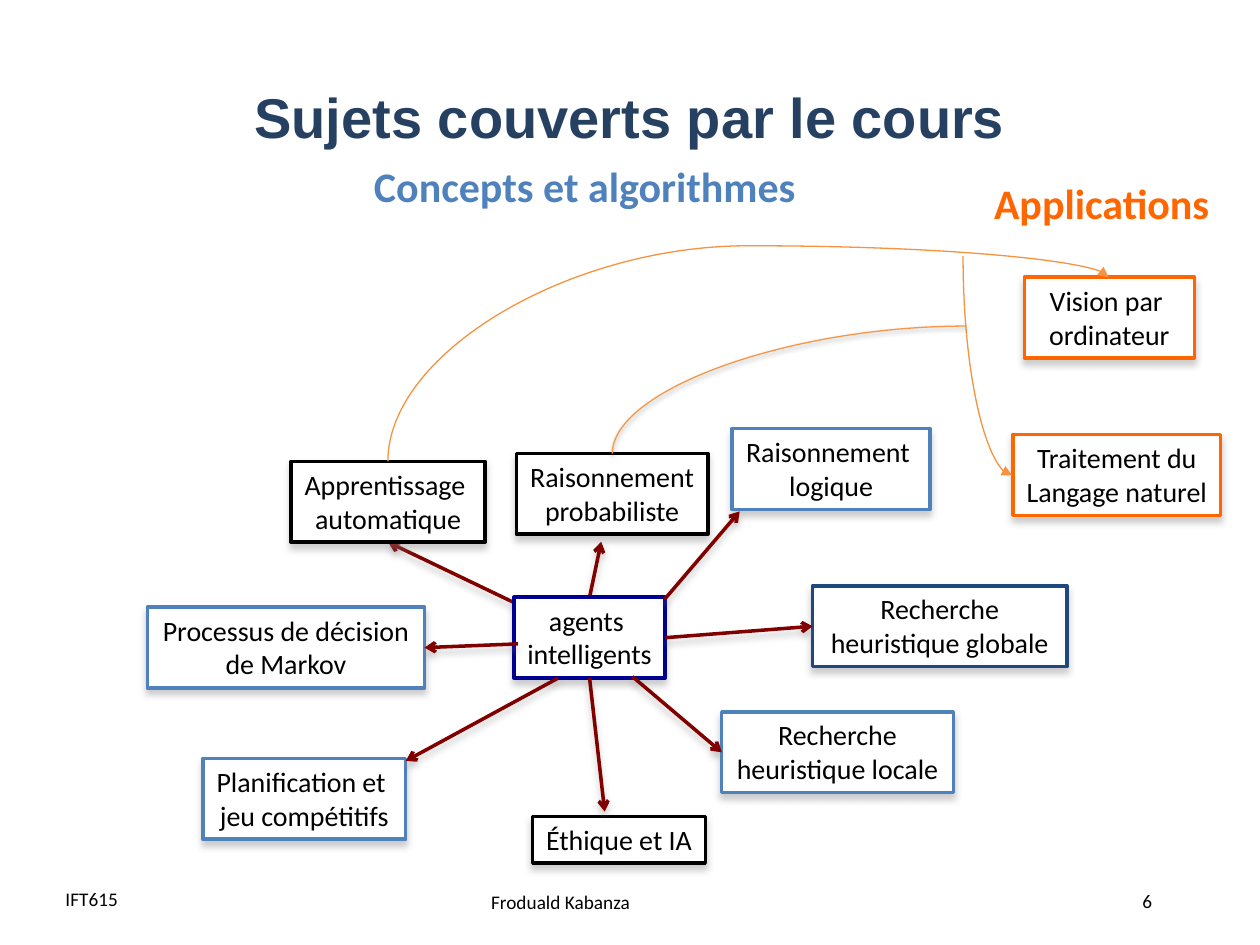
from lxml.etree import SubElement
from pptx import Presentation
from pptx.dml.color import RGBColor
from pptx.enum.shapes import MSO_CONNECTOR as Link, MSO_SHAPE as Shape
from pptx.enum.text import MSO_ANCHOR as Anchor, MSO_AUTO_SIZE as Fit, PP_ALIGN as Align
from pptx.oxml.ns import qn
from pptx.util import Cm, Pt

WHITE = RGBColor(0xFF, 0xFF, 0xFF)
BLACK = RGBColor(0, 0, 0)
NAVY = RGBColor(0x25, 0x40, 0x61)
INDIGO = RGBColor(0, 0, 0x90)
DARK = RGBColor(0x1F, 0x49, 0x7D)
BLUE = RGBColor(0x4F, 0x81, 0xBD)
ORANGE = RGBColor(0xFF, 0x66, 0x00)
AMBER = RGBColor(0xF6, 0x92, 0x40)
PEACH = RGBColor(0xF7, 0x96, 0x46)
MAROON = RGBColor(0x80, 0, 0)
GREY = RGBColor(0x80, 0x80, 0x80)

# name: left, top, width, border, wrap, lines
BOXES = {
    "agents": (10.36, 12.04, 3.05, INDIGO, False, ["agents ", "intelligents"]),
    "logic": (14.76, 8.64, 3.99, BLUE, False, ["Raisonnement ", "logique"]),
    "learning": (5.87, 9.3, 3.91, BLACK, False, ["Apprentissage ", "automatique"]),
    "markov": (2.97, 12.24, 5.59, BLUE, True, ["Processus de décision ", "de Markov"]),
    "plan": (4.09, 15.29, 4.09, BLUE, False, ["Planification et ", "jeu compétitifs"]),
    "local": (14.55, 14.35, 4.67, BLUE, True, ["Recherche heuristique locale"]),
    "global": (16.38, 11.81, 5.13, DARK, True, ["Recherche heuristique globale"]),
    "ethics": (10.74, 16.46, 3.48, BLACK, False, ["Éthique et IA"]),
    "chance": (10.41, 9.14, 3.86, BLACK, False, ["Raisonnement", "probabiliste"]),
    "vision": (20.65, 5.59, 3.43, ORANGE, True, ["Vision par ", "ordinateur"]),
    "language": (20.42, 8.76, 4.19, ORANGE, False, ["Traitement du", "Langage naturel"]),
}

# start, end, behind the boxes; an end is a point or a box name with its side
TOP, LEFT, BOTTOM, RIGHT = range(4)
ARROWS = [
    (("agents", TOP), (12.12, 10.92), True),
    ((10.41, 12.17), ("learning", BOTTOM), True),
    (("agents", RIGHT), ("global", LEFT), False),
    ((12.75, 13.64), ("local", LEFT), False),
    (("agents", BOTTOM), (12.19, 16.36), False),
    ((10.44, 12.98), ("markov", RIGHT), False),
    ((11.25, 13.67), (8.18, 15.34), False),
    ((13.39, 12.09), (14.91, 10.31), False),
]


def add_shadow(shape, color=GREY, alpha=40, blur=4, dist=3):
    """Give a downward shadow; alpha is in percent, blur and dist in points."""
    effects = SubElement(shape._element.spPr, qn("a:effectLst"))
    outer = SubElement(effects, qn("a:outerShdw"), blurRad=str(Pt(blur)),
                       dist=str(Pt(dist)), dir="5400000", rotWithShape="0")
    tint = SubElement(outer, qn("a:srgbClr"), val=str(color))
    SubElement(tint, qn("a:alpha"), val=str(alpha * 1000))


def add_run(para, text, size, color, bold=False, font="Calibri"):
    run = para.add_run()
    run.text = text
    run.font.name, run.font.size, run.font.bold = font, Pt(size), bold
    run.font.color.rgb = color


def add_label(slide, text, area, size, color, bold=False, anchor=Anchor.TOP):
    frame = slide.shapes.add_textbox(*map(Cm, area)).text_frame
    frame.word_wrap = not bold
    frame.vertical_anchor = anchor
    add_run(frame.paragraphs[0], text, size, color, bold)


def add_box(slide, left, top, width, color, wrap, lines):
    height = 0.94 if lines == ["Éthique et IA"] else 1.63
    box = slide.shapes.add_shape(Shape.RECTANGLE, *map(Cm, (left, top, width, height)))
    box.fill.solid()
    box.fill.fore_color.rgb = WHITE
    box.line.color.rgb = color
    box.line.width = Pt(2)
    add_shadow(box)
    frame = box.text_frame
    frame.word_wrap = wrap
    frame.auto_size = Fit.SHAPE_TO_FIT_TEXT
    frame.vertical_anchor = Anchor.TOP
    for i, text in enumerate(lines):
        para = frame.add_paragraph() if i else frame.paragraphs[0]
        para.alignment = Align.CENTER
        add_run(para, text, 16, BLACK)
    return box


def style_line(line, color, width, head=None):
    line.line.color.rgb = color
    line.line.width = Pt(width)
    if head:
        SubElement(line.line._get_or_add_ln(), qn("a:tailEnd"), type=head)


def get_point(boxes, end):
    """Turn a point or a box side into a position."""
    if end[0] not in boxes:
        return Cm(end[0]), Cm(end[1])
    box, side = boxes[end[0]], end[1]
    x = {LEFT: 0, RIGHT: box.width}.get(side, box.width // 2)
    y = {TOP: 0, BOTTOM: box.height}.get(side, box.height // 2)
    return box.left + x, box.top + y


def add_arrow(slide, boxes, start, end, behind):
    line = slide.shapes.add_connector(
        Link.STRAIGHT, *get_point(boxes, start), *get_point(boxes, end))
    if start[0] in boxes:
        line.begin_connect(boxes[start[0]], start[1])
    if end[0] in boxes:
        line.end_connect(boxes[end[0]], end[1])
    style_line(line, MAROON, 2, "arrow")
    add_shadow(line)
    if behind:
        boxes["agents"]._element.addprevious(line._element)


def add_curve(slide, area, turn, flips, color, head=None, bend=None):
    """Draw a turned curve: one arc, or an S curve whose middle is at bend."""
    left, top, width, height = map(Cm, area)
    line = slide.shapes.add_connector(Link.CURVE, left, top, left + width, top + height)
    props = line._element.spPr
    frame, geom = props.find(qn("a:xfrm")), props.find(qn("a:prstGeom"))
    frame.set("rot", str(turn * 60000))
    for flip in flips:
        frame.set("flip" + flip, "1")
    if bend:
        guides = geom.find(qn("a:avLst"))
        SubElement(guides, qn("a:gd"), name="adj1", fmla=f"val {bend}")
    else:
        geom.set("prst", "curvedConnector2")
    style_line(line, color, 0.75, head)
    return line


def add_title(slide, text):
    title = slide.shapes.title
    title.left, title.top, title.width, title.height = map(Cm, (1.27, 0.76, 22.86, 3.18))
    frame = title.text_frame
    frame.vertical_anchor = Anchor.MIDDLE
    frame.auto_size = Fit.NONE
    para = frame.paragraphs[0]
    para.alignment = Align.CENTER
    add_run(para, text, 32, NAVY, True, "Arial")


def main():
    deck = Presentation()
    deck.slide_width, deck.slide_height = Cm(25.4), Cm(19.05)
    slide = deck.slides.add_slide(deck.slide_layouts[5])
    add_title(slide, "Sujets couverts par le cours")
    for text, area in (("IFT615", (1.07, 17.78, 1.91, 0.66)),
                       ("Froduald Kabanza", (9.65, 17.81, 6.45, 0.74)),
                       ("6", (22.78, 17.78, 1.35, 0.76))):
        add_label(slide, text, area, 11, BLACK, anchor=Anchor.MIDDLE)
    boxes = {name: add_box(slide, *data) for name, data in BOXES.items()}
    for arrow in ARROWS:
        add_arrow(slide, boxes, *arrow)
    add_label(slide, "Applications", (19.79, 3.45, 4.9, 1.27), 24, ORANGE, True)
    add_label(slide, "Concepts et algorithmes", (7.29, 3.12, 9.09, 1.27), 24, BLUE, True)
    vision = add_curve(slide, (13.23, 0.18, 3.71, 14.53), 90, "HV", AMBER, "triangle", 117100)
    speech = add_curve(slide, (17.7, 6.88, 4.42, 0.99), 270, "H", AMBER, "triangle")
    for line in (vision, speech):
        SubElement(line._element.spPr, qn("a:effectLst"))
    branch = add_curve(slide, (14.63, 4.29, 2.57, 7.14), 90, "HV", PEACH)
    add_shadow(branch, BLACK, 38, 3.1, 1.6)
    deck.save("out.pptx")


if __name__ == "__main__":
    main()
